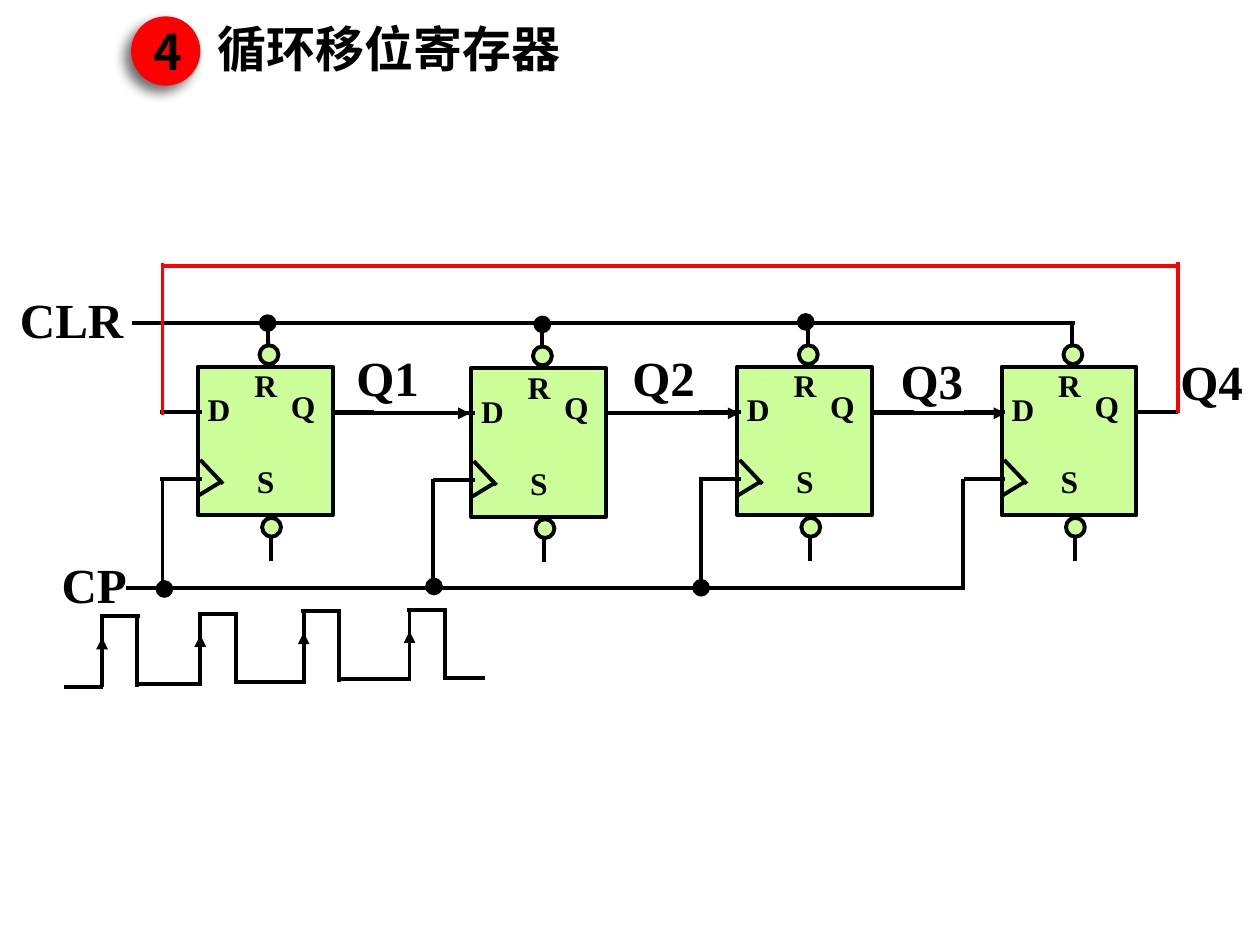
"""Build the circular shift register slide."""
from lxml.etree import SubElement
from pptx import Presentation
from pptx.dml.color import RGBColor
from pptx.enum.shapes import MSO_CONNECTOR, MSO_SHAPE
from pptx.enum.text import MSO_ANCHOR, PP_ALIGN
from pptx.oxml.ns import qn
from pptx.util import Inches, Pt

BLACK = RGBColor(0x00, 0x00, 0x00)
RED = RGBColor(0xFF, 0x00, 0x00)
GREEN = RGBColor(0xCC, 0xFF, 0x99)
SERIF = "Times New Roman"
SANS = "Noto Sans CJK SC"

prs = Presentation()
prs.slide_width, prs.slide_height = Inches(10), Inches(7.5)
slide = prs.slides.add_slide(prs.slide_layouts[6])


def write(holder, text, size, font_name):
    paragraph = holder.text_frame.paragraphs[0]
    paragraph.text = text
    paragraph.font.size = Pt(size)
    paragraph.font.bold = True
    paragraph.font.name = font_name
    paragraph.font.color.rgb = BLACK
    defaults = paragraph._p.pPr.find(qn("a:defRPr"))
    SubElement(defaults, qn("a:ea"), typeface=font_name)
    return paragraph


def wire(x1, y1, x2, y2, color=BLACK, arrow=False):
    line = slide.shapes.add_connector(
        MSO_CONNECTOR.STRAIGHT, Inches(x1), Inches(y1), Inches(x2), Inches(y2))
    line.line.color.rgb = color
    line.line.width = Pt(2.25)
    if arrow:
        SubElement(line.line._get_or_add_ln(), qn("a:tailEnd"), type="triangle")
    SubElement(line._element.spPr, qn("a:effectLst"))


flip_flops = [(1.57, 2.91), (3.74, 2.92), (5.85, 2.91), (7.95, 2.91)]
clear_dots = [(2.06, 2.5), (4.24, 2.51), (6.33, 2.49)]
clock_dots = [(1.24, 4.61), (3.38, 4.59), (5.5, 4.6)]

parts = [(MSO_SHAPE.OVAL, x, y, 0.13, 0.13, BLACK, 0.75)
         for x, y in clear_dots + clock_dots]
for x, y in flip_flops:
    parts += [
        (MSO_SHAPE.RECTANGLE, x, y, 1.07, 1.18, GREEN, 2.25),
        (MSO_SHAPE.OVAL, x + 0.51, y + 1.2, 0.15, 0.15, GREEN, 2.25),
        (MSO_SHAPE.OVAL, x + 0.49, y - 0.17, 0.15, 0.15, GREEN, 2.25),
    ]
for kind, x, y, width, height, fill, weight in parts:
    part = slide.shapes.add_shape(
        kind, Inches(x), Inches(y), Inches(width), Inches(height))
    part.shadow.inherit = False
    part.fill.solid()
    part.fill.fore_color.rgb = fill
    part.line.color.rgb = BLACK
    part.line.width = Pt(weight)

labels = [
    ("CLR", 0.06, 2.25, 1.11, 0.57, 28),
    ("CP", 0.39, 4.35, 0.85, 0.57, 28),
    ("Q1", 2.73, 2.71, 0.77, 0.57, 28),
    ("Q2", 4.92, 2.71, 0.77, 0.57, 28),
    ("Q3", 7.05, 2.73, 0.77, 0.57, 28),
    ("Q4", 9.27, 2.74, 0.77, 0.57, 28),
]
pins = [("Q", 0.64, 0.11), ("S", 0.37, 0.71), ("R", 0.35, -0.05), ("D", -0.02, 0.14)]
pin_wires = [
    (0.02, 0.74, 0.2, 0.93),
    (0.19, 0.91, 0.01, 1.02),
    (-0.3, 0.89, 0.03, 0.89),
    (-0.3, 0.36, 0.03, 0.36),
    (1.08, 0.36, 1.4, 0.36),
    (0.58, 1.36, 0.58, 1.54),
    (0.56, -0.35, 0.56, -0.17),
]
for x, y in flip_flops:
    labels += [(pin, x + dx, y + dy, 0.44, 0.4, 18) for pin, dx, dy in pins]
    for x1, y1, x2, y2 in pin_wires:
        wire(x + x1, y + y1, x + x2, y + y2)

for text, x, y, width, height, size in labels:
    label = slide.shapes.add_textbox(Inches(x), Inches(y), Inches(width), Inches(height))
    label.text_frame.word_wrap = True
    write(label, text, size, SERIF)

wire(1.05, 2.56, 8.53, 2.56)
wire(1, 4.67, 7.66, 4.67)
for x in (1.29, 3.44, 5.56, 7.64):
    wire(x, 3.8, x, 4.68)
for x in (2.66, 4.8, 6.91):
    wire(x, 3.28, x + 1.07, 3.28, arrow=True)

wire(0.51, 5.45, 0.82, 5.45)
pulses = [(0.81, 5.45, 1.6), (1.59, 5.43, 2.43), (2.41, 5.41, 3.26), (3.25, 5.4, 3.85)]
for rise, base, low_end in pulses:
    fall, top = rise + 0.28, base - 0.56
    wire(rise, base, rise, top)
    wire(rise - 0.02, top, fall + 0.02, top)
    wire(fall, base, fall, top)
    wire(fall, base - 0.02, low_end, base - 0.02)
    wire(rise, base - 0.12, rise, base - 0.39, arrow=True)

wire(9.35, 2.11, 1.29, 2.11, RED)
wire(1.29, 3.29, 1.29, 2.09, RED)
wire(9.35, 2.08, 9.35, 3.28, RED)

title = slide.shapes.add_textbox(Inches(1.63), Inches(0.1), Inches(2.96), Inches(0.57))
title.text_frame.word_wrap = False
write(title, "循环移位寄存器", 28, SANS)

badge = slide.shapes.add_shape(
    MSO_SHAPE.OVAL, Inches(1.04), Inches(0.13), Inches(0.55), Inches(0.55))
badge.shadow.inherit = False
badge.fill.solid()
badge.fill.fore_color.rgb = RED
badge.line.fill.background()
badge.text_frame.vertical_anchor = MSO_ANCHOR.MIDDLE
write(badge, "4", 28, SANS).alignment = PP_ALIGN.CENTER
shadow = SubElement(badge._element.spPr.find(qn("a:effectLst")), qn("a:outerShdw"),
                    blurRad=str(Pt(7)), dist=str(Pt(5)), dir=str(135 * 60000))
shade = SubElement(shadow, qn("a:srgbClr"), val=str(BLACK))
SubElement(shade, qn("a:alpha"), val="57000")

prs.save("out.pptx")
